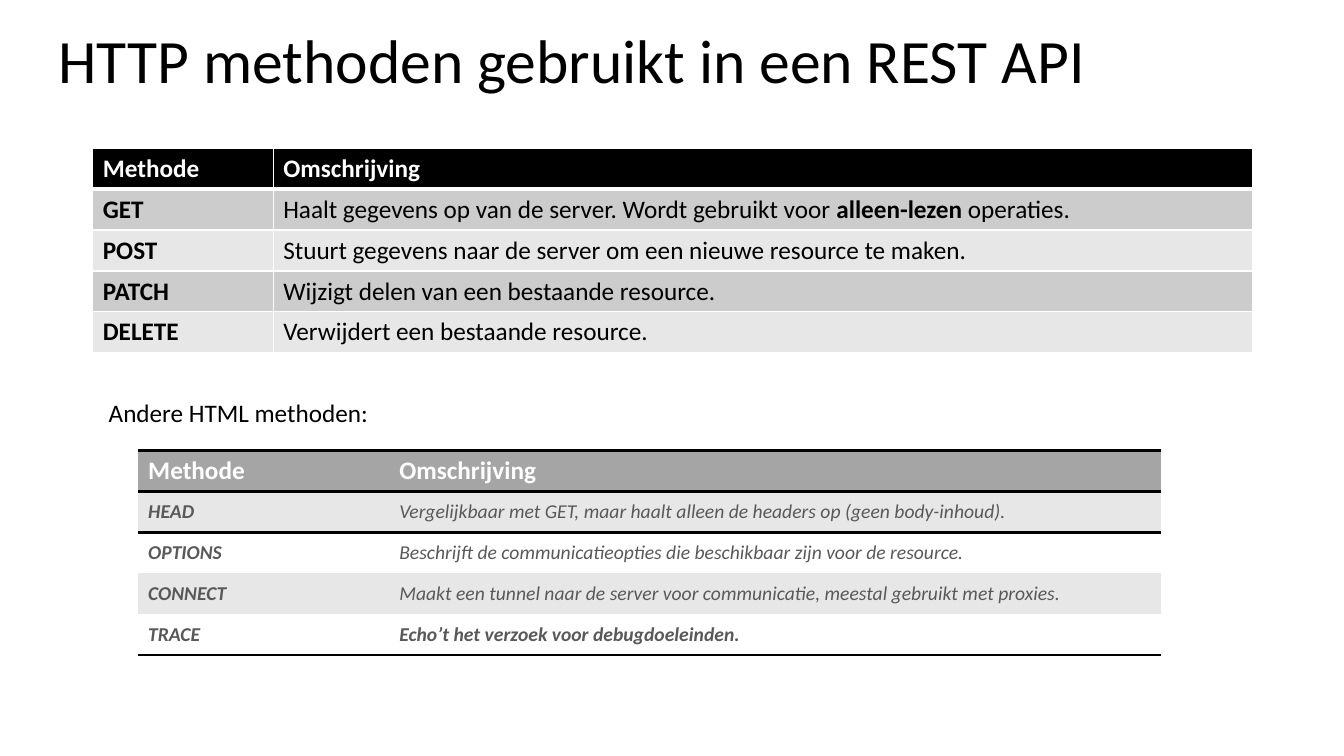
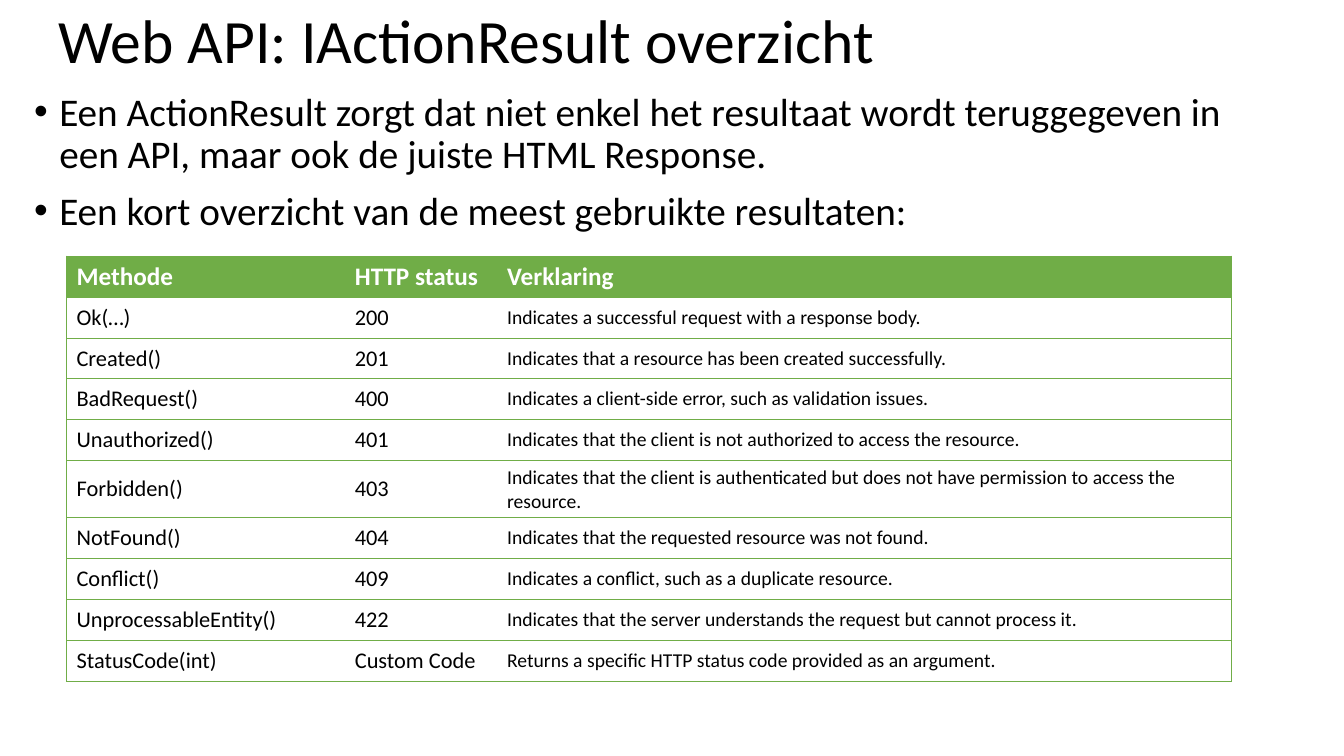
from dataclasses import dataclass
from typing import Callable

from lxml.etree import SubElement
from pptx import Presentation
from pptx.dml.color import RGBColor
from pptx.enum.text import MSO_ANCHOR as Anchor
from pptx.oxml.ns import qn
from pptx.util import Inches, Pt

# Shared look
FONT = "Calibri"
BLACK, WHITE = "000000", "FFFFFF"
GREY, DARK_GREY = "A5A5A5", "595959"
BAND_DARK, BAND_LIGHT = "CCCCCC", "E7E7E7"
GREEN = "70AD47"
PLAIN_TABLE_STYLE = "{2D5ABB26-0587-4C30-8999-92F81FD0307C}"
TITLE_LEFT, TITLE_WIDTH, TITLE_HEIGHT = 0.48, 11.94, 0.87
ROW_HEIGHT = 0.406
HEADER_SIZE = 18

# Content
REST_METHODS = [
    ("Methode", "Omschrijving"),
    ("GET", "Haalt gegevens op van de server. Wordt gebruikt voor **alleen-lezen** operaties."),
    ("POST", "Stuurt gegevens naar de server om een nieuwe resource te maken."),
    ("PATCH", "Wijzigt delen van een bestaande resource."),
    ("DELETE", "Verwijdert een bestaande resource."),
]
OTHER_METHODS = [
    ("Methode", "Omschrijving"),
    ("HEAD", "Vergelijkbaar met GET, maar haalt alleen de headers op (geen body-inhoud)."),
    ("OPTIONS", "Beschrijft de communicatieopties die beschikbaar zijn voor de resource."),
    ("CONNECT", "Maakt een tunnel naar de server voor communicatie, meestal gebruikt met proxies."),
    ("TRACE", "**Echo’t het verzoek voor debugdoeleinden.**"),
]
ACTION_RESULTS = [
    ("Methode", "HTTP status", "Verklaring"),
    ("Ok(…)", "200", "Indicates a successful request with a response body."),
    ("Created()", "201", "Indicates that a resource has been created successfully."),
    ("BadRequest()", "400", "Indicates a client-side error, such as validation issues."),
    ("Unauthorized()", "401",
     "Indicates that the client is not authorized to access the resource."),
    ("Forbidden()", "403",
     "Indicates that the client is authenticated but does not have permission to access the resource."),
    ("NotFound()", "404", "Indicates that the requested resource was not found."),
    ("Conflict()", "409", "Indicates a conflict, such as a duplicate resource."),
    ("UnprocessableEntity()", "422",
     "Indicates that the server understands the request but cannot process it."),
    ("StatusCode(int)", "Custom Code",
     "Returns a specific HTTP status code provided as an argument."),
]
RESULT_POINTS = [
    "Een ActionResult zorgt dat niet enkel het resultaat wordt teruggegeven in een API, "
    "maar ook de juiste HTML Response.",
    "Een kort overzicht van de meest gebruikte resultaten:",
]


def color(hex_text):
    return RGBColor.from_string(hex_text)


def format_run(run, size, ink=BLACK, bold=False, italic=False):
    font = run.font
    font.name, font.size = FONT, Pt(size)
    font.bold, font.italic = bold, italic
    font.color.rgb = color(ink)


# Text boxes
def add_text(slide, box, lines, size, anchor=Anchor.TOP):
    shape = slide.shapes.add_textbox(*map(Inches, box))
    frame = shape.text_frame
    frame.word_wrap, frame.vertical_anchor = True, anchor
    frame.text = "\n".join(lines)
    for paragraph in frame.paragraphs:
        format_run(paragraph.runs[0], size)
    return frame


def add_title(slide, text, top):
    box = (TITLE_LEFT, top, TITLE_WIDTH, TITLE_HEIGHT)
    frame = add_text(slide, box, [text], 44, Anchor.MIDDLE)
    frame.paragraphs[0].line_spacing = 0.9


def add_bullets(slide, box, lines):
    for paragraph in add_text(slide, box, lines, 28).paragraphs:
        paragraph.line_spacing, paragraph.space_before = 0.9, Pt(10)
        properties = paragraph._p.get_or_add_pPr()
        properties.set("marL", str(Inches(0.25)))
        properties.set("indent", str(Inches(-0.25)))
        SubElement(properties, qn("a:buFont"), typeface="Arial")
        SubElement(properties, qn("a:buChar"), char="•")


# Tables: borders(row, column, last_row, last_column) gives {side: (colour, points)}
@dataclass
class TableStyle:
    header_fill: str
    bands: tuple
    sizes: tuple
    borders: Callable
    ink: str = BLACK
    bold_first: bool = True
    italic: bool = False


def rest_borders(row, column, last_row, last_column):
    sides = {side: (WHITE, 1) for side in "LRTB"}
    if row < 2:
        sides["B" if row == 0 else "T"] = (WHITE, 3)
    return sides


def ruled_borders(row, column, last_row, last_column):
    rule = (BLACK, 2)
    sides = {}
    if row < 2:
        sides["T"] = rule
    if row in (0, last_row):
        sides["B"] = rule
    return sides


def outlined_borders(row, column, last_row, last_column):
    rule = (GREEN, 0.5)
    sides = {"T": rule, "B": rule}
    if column == 0:
        sides["L"] = rule
    if column == last_column:
        sides["R"] = rule
    return sides


REST_STYLE = TableStyle(BLACK, (BAND_DARK, BAND_LIGHT), (18, 18), rest_borders)
OTHER_STYLE = TableStyle(GREY, (BAND_LIGHT, WHITE), (14, 14), ruled_borders,
                         ink=DARK_GREY, italic=True)
RESULT_STYLE = TableStyle(GREEN, (WHITE,), (16, 16, 14), outlined_borders, bold_first=False)


def set_borders(cell, sides):
    properties = cell._tc.get_or_add_tcPr()
    for side in "LRTB":
        if side in sides:
            hex_text, points = sides[side]
            line = SubElement(properties, qn("a:ln" + side), w=str(Pt(points)))
            fill = SubElement(line, qn("a:solidFill"))
            SubElement(fill, qn("a:srgbClr"), val=hex_text)


def fill_cell(cell, text, fill, size, ink, bold, italic):
    cell.vertical_anchor = Anchor.MIDDLE
    cell.fill.solid()
    cell.fill.fore_color.rgb = color(fill)
    paragraph = cell.text_frame.paragraphs[0]
    # Pieces between double asterisks are bold
    for index, piece in enumerate(text.split("**")):
        if piece:
            run = paragraph.add_run()
            run.text = piece
            format_run(run, size, ink, bold or index % 2 == 1, italic)


def add_data_table(slide, left, top, widths, rows, style):
    last_row, last_column = len(rows) - 1, len(widths) - 1
    box = (left, top, sum(widths), ROW_HEIGHT * len(rows))
    table = slide.shapes.add_table(len(rows), len(widths), *map(Inches, box)).table
    table._tbl.tblPr.find(qn("a:tableStyleId")).text = PLAIN_TABLE_STYLE
    table.horz_banding = False
    for column, width in zip(table.columns, widths):
        column.width = Inches(width)
    for r, row in enumerate(rows):
        for c, text in enumerate(row):
            cell = table.cell(r, c)
            set_borders(cell, style.borders(r, c, last_row, last_column))
            if r == 0:
                fill_cell(cell, text, style.header_fill, HEADER_SIZE, WHITE, True, False)
            else:
                band = style.bands[(r - 1) % len(style.bands)]
                bold = style.bold_first and c == 0
                fill_cell(cell, text, band, style.sizes[c], style.ink, bold, style.italic)


# Slides
def build_methods_slide(slide):
    add_title(slide, "HTTP methoden gebruikt in een REST API", 0.2)
    add_data_table(slide, 0.92, 1.47, (1.79, 9.71), REST_METHODS, REST_STYLE)
    add_data_table(slide, 1.37, 4.47, (2.49, 7.66), OTHER_METHODS, OTHER_STYLE)
    add_text(slide, (0.98, 3.89, 4.87, 0.4), ["Andere HTML methoden:"], 18)


def build_results_slide(slide):
    add_title(slide, "Web API: IActionResult overzicht", 0)
    add_bullets(slide, (0.24, 0.87, 12.61, 6.44), RESULT_POINTS)
    add_data_table(slide, 0.66, 2.54, (2.76, 1.51, 7.28), ACTION_RESULTS, RESULT_STYLE)


def main():
    presentation = Presentation()
    presentation.slide_width, presentation.slide_height = Inches(13.33), Inches(7.5)
    blank = presentation.slide_layouts[6]
    for build in (build_methods_slide, build_results_slide):
        build(presentation.slides.add_slide(blank))
    presentation.save("out.pptx")


if __name__ == "__main__":
    main()
